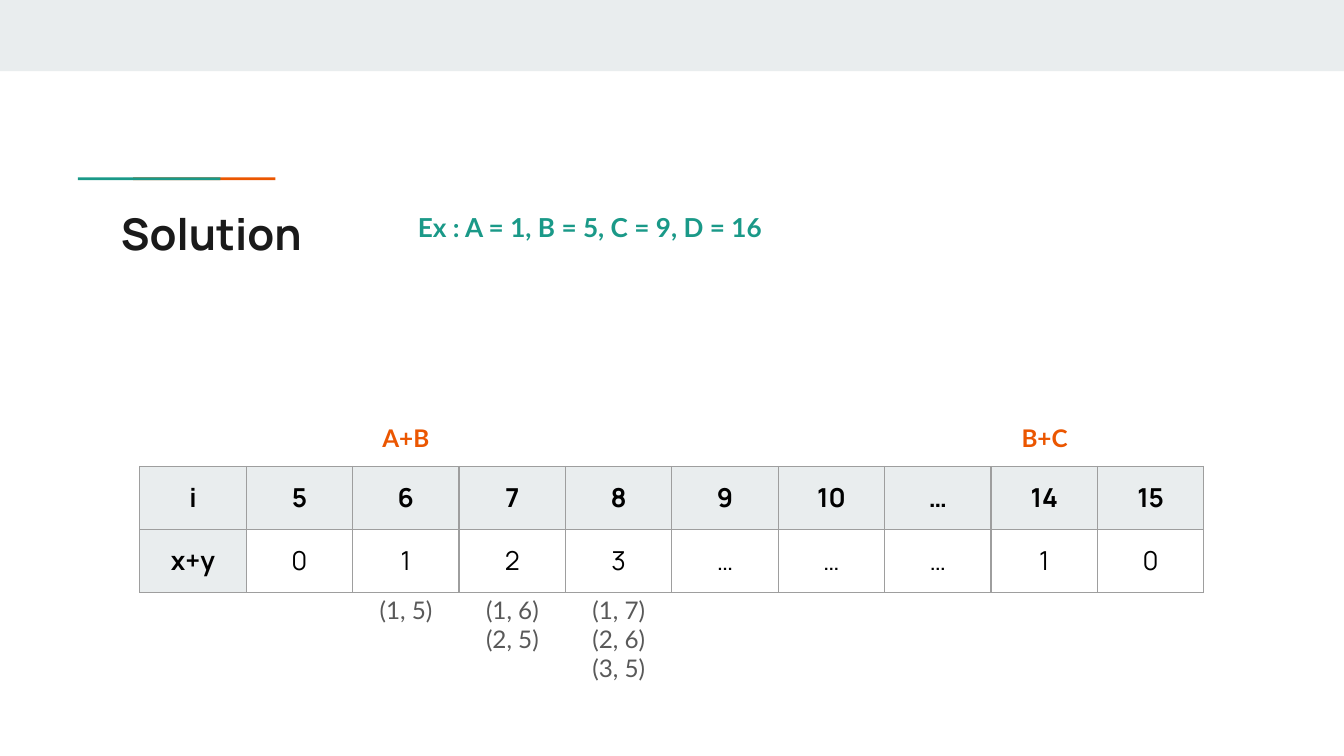
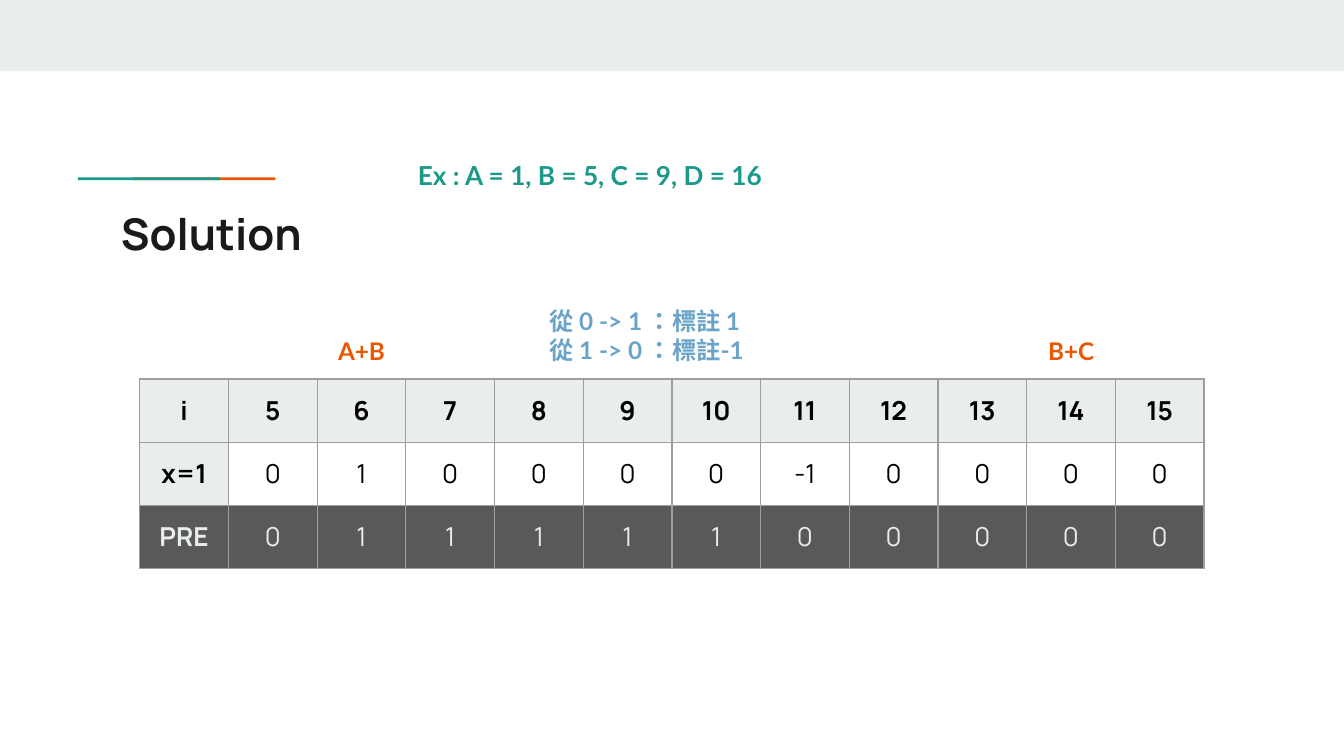
from lxml.etree import SubElement
from pptx import Presentation
from pptx.dml.color import RGBColor
from pptx.enum.lang import MSO_LANGUAGE_ID as Language
from pptx.enum.shapes import MSO_SHAPE as Shape
from pptx.enum.text import MSO_ANCHOR as Anchor, MSO_AUTO_SIZE as AutoSize, PP_ALIGN as Align
from pptx.oxml.ns import qn
from pptx.util import Inches, Pt

COLORS = {
    "band": "E9EDEE", "orange": "EB5600", "teal": "1A9988", "title": "1A1A1A",
    "black": "000000", "gray": "595959", "blue": "6AA4C8", "border": "9E9E9E",
}
WIDTH = 10
HEIGHT = WIDTH * 9 / 16
TABLE_LEFT, TABLE_WIDTH = 1.04, 7.92
ROW = 0.47
LINE = 0.22
PADDING = 0.1

SLIDES = [
    {
        "example_top": 1.44,
        "table_top": 3.47,
        "rows": [
            ["i", "5", "6", "7", "8", "9", "10", "…", "14", "15"],
            ["x+y", "0", "1", "2", "3", "…", "…", "…", "1", "0"],
        ],
        "sums": {2: "A+B", 8: "B+C"},
        "pairs": {2: ["(1, 5)"], 3: ["(1, 6)", "(2, 5)"], 4: ["(1, 7)", "(2, 6)", "(3, 5)"]},
        "note": [],
    },
    {
        "example_top": 1.05,
        "table_top": 2.82,
        "rows": [
            ["i", "5", "6", "7", "8", "9", "10", "11", "12", "13", "14", "15"],
            ["x=1", "0", "1", "0", "0", "0", "0", "-1", "0", "0", "0", "0"],
            ["PRE", "0", "1", "1", "1", "1", "1", "0", "0", "0", "0", "0"],
        ],
        "sums": {2: "A+B", 10: "B+C"},
        "pairs": {},
        "note": ["從 0 -> 1 ：標註 1", "從 1 -> 0 ：標註-1"],
    },
]


def write_lines(frame, lines, color, size=13, font="Lato", bold=True, align=Align.CENTER):
    frame.text = "\n".join(lines)
    frame.margin_left = frame.margin_right = Inches(PADDING)
    frame.margin_top = frame.margin_bottom = Inches(PADDING)
    frame.vertical_anchor = Anchor.TOP
    frame.word_wrap = True
    for paragraph in frame.paragraphs:
        paragraph.alignment = align
        paragraph.font.name = font
        paragraph.font.size = Pt(size)
        paragraph.font.bold = bold
        paragraph.font.color.rgb = RGBColor.from_string(COLORS[color])
        for run in paragraph.runs:
            run.font.language_id = Language.TRADITIONAL_CHINESE


def add_label(slide, left, top, width, lines, color, **style):
    height = 2 * PADDING + LINE * len(lines)
    box = slide.shapes.add_textbox(Inches(left), Inches(top), Inches(width), Inches(height))
    write_lines(box.text_frame, lines, color, **style)
    return box


presentation = Presentation()
presentation.slide_width = Inches(WIDTH)
presentation.slide_height = Inches(HEIGHT)
title_only = presentation.slide_layouts[5]

for content in SLIDES:
    slide = presentation.slides.add_slide(title_only)

    for left, top, width, height, color in [
        (0, 0, WIDTH, 0.53, "band"),
        (0.99, 1.32, 1.06, 0.02, "orange"),
        (0.58, 1.32, 1.06, 0.02, "teal"),
    ]:
        bar = slide.shapes.add_shape(
            Shape.RECTANGLE, Inches(left), Inches(top), Inches(width), Inches(height))
        bar.shadow.inherit = False
        bar.fill.solid()
        bar.fill.fore_color.rgb = RGBColor.from_string(COLORS[color])
        bar.line.fill.background()

    title = slide.shapes.title
    title.left, title.top = Inches(0.8), Inches(1.44)
    title.width, title.height = Inches(8.41), Inches(0.59)
    write_lines(title.text_frame, ["Solution"], "title", size=23.4, font="Manrope", align=Align.LEFT)
    title.text_frame.auto_size = AutoSize.NONE

    example = add_label(slide, 3.01, content["example_top"], 3.99,
                        ["Ex : A = 1, B = 5, C = 9, D = 16"], "teal", size=14, align=Align.LEFT)
    example.height = Inches(0.51)
    example.text_frame.paragraphs[0].line_spacing = 1.15
    example.text_frame.paragraphs[0].space_after = Pt(12)

    rows = content["rows"]
    table_top = content["table_top"]
    column_width = TABLE_WIDTH / len(rows[0])
    table = slide.shapes.add_table(
        len(rows), len(rows[0]), Inches(TABLE_LEFT), Inches(table_top),
        Inches(TABLE_WIDTH), Inches(ROW * len(rows))).table
    table.first_row = table.horz_banding = False

    for row, values in enumerate(rows):
        for column, value in enumerate(values):
            cell = table.cell(row, column)
            heading = row == 0 or column == 0
            dark = row == 2
            write_lines(cell.text_frame, [value], "band" if dark else "black",
                        size=14, font="Manrope", bold=heading)
            cell.margin_left = cell.margin_right = Inches(PADDING)
            cell.margin_top = cell.margin_bottom = Inches(PADDING)
            properties = cell._tc.get_or_add_tcPr()
            for side in ("lnL", "lnR", "lnT", "lnB"):
                border = SubElement(properties, qn(f"a:{side}"), w=str(Pt(0.75)))
                fill = SubElement(border, qn("a:solidFill"))
                SubElement(fill, qn("a:srgbClr"), val=COLORS["border"])
            if dark or heading:
                cell.fill.solid()
                cell.fill.fore_color.rgb = RGBColor.from_string(COLORS["gray" if dark else "band"])
            else:
                cell.fill.background()

    for column, name in content["sums"].items():
        add_label(slide, TABLE_LEFT + column * column_width, table_top - 0.42,
                  column_width, [name], "orange")
    for column, pairs in content["pairs"].items():
        add_label(slide, TABLE_LEFT + column * column_width, table_top + 0.86,
                  column_width, pairs, "gray", bold=False)
    if content["note"]:
        add_label(slide, 3.99, table_top - 0.64, 2.02, content["note"], "blue", align=Align.LEFT)

presentation.save("out.pptx")
